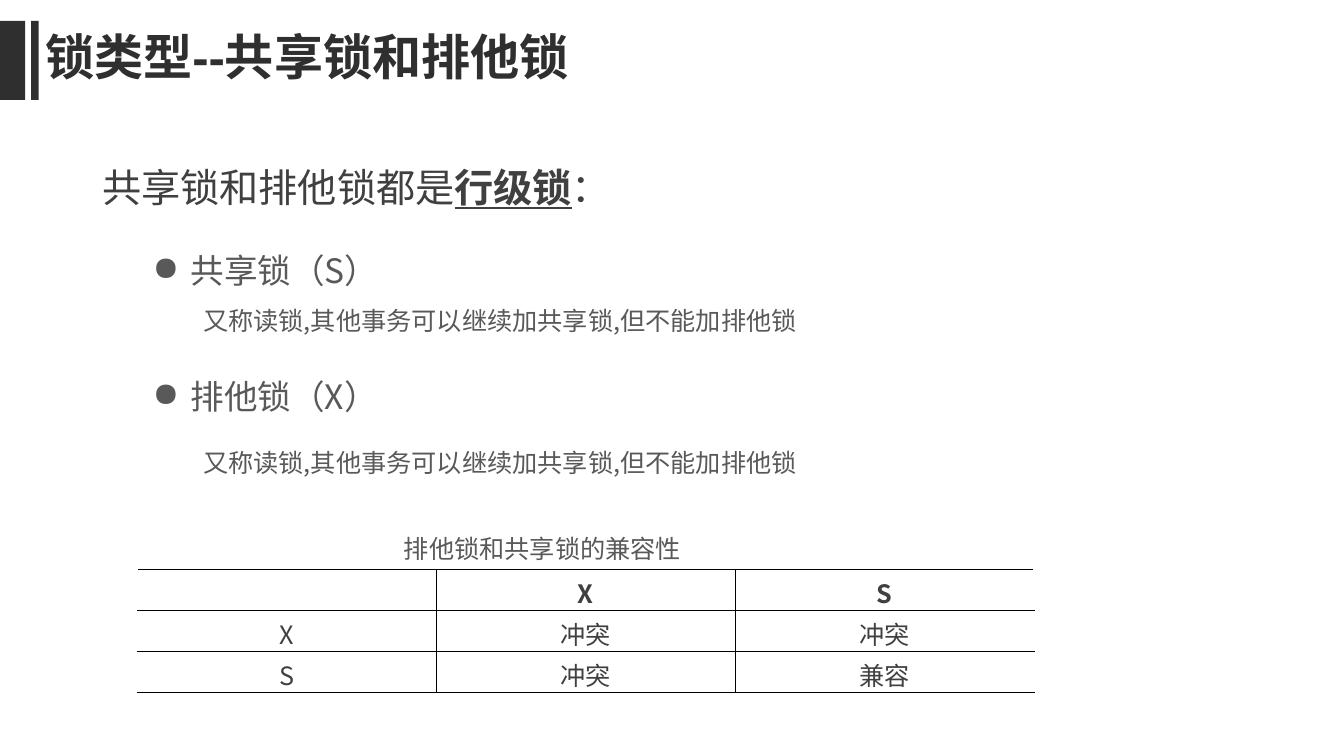
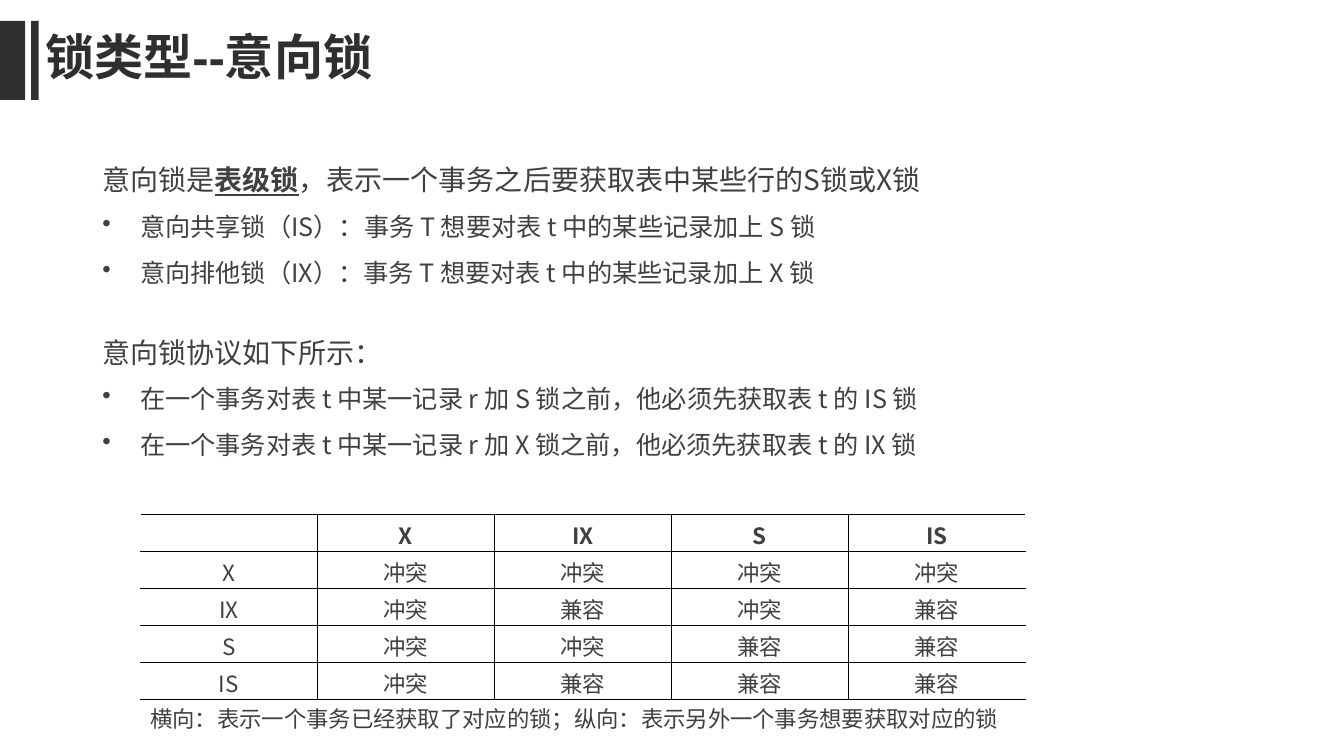
from lxml import etree
from pptx import Presentation
from pptx import util as u
from pptx.dml.color import RGBColor
from pptx.enum import shapes, text
from pptx.oxml import ns

COLUMNS, ROWS = 160, 90
INK, BODY, SOFT, WHITE, BLACK = "2F2F2F", "404040", "595959", "FFFFFF", "000000"
LATIN, CJK = "Arial", "Noto Sans CJK SC"


def rgb(value):
    """Turn a hex string into a colour."""
    return RGBColor.from_string(value)


class Deck:
    """Hold the shared style and the slide being built."""

    def __init__(self):
        """Start a widescreen presentation."""
        self.deck = Presentation()
        self.deck.slide_width, self.deck.slide_height = u.Inches(13.333), u.Inches(7.5)
        self.slide = None

    def x(self, columns):
        """Convert grid columns to a length."""
        return round(self.deck.slide_width * columns / COLUMNS)

    def y(self, rows):
        """Convert grid rows to a length."""
        return round(self.deck.slide_height * rows / ROWS)

    def box(self, left, top, width, height):
        """Convert a grid rectangle to lengths."""
        return self.x(left), self.y(top), self.x(width), self.y(height)

    def page(self, title):
        """Add a slide with its bands and title."""
        self.slide = self.deck.slides.add_slide(self.deck.slide_layouts[6])
        for left, width in ((0, 3), (3.7, 0.9)):
            self.band(left, 2.5, width, 9.4)
        frame = self.frame(4.2, 2.4, 113, 9.4)
        frame.vertical_anchor = text.MSO_ANCHOR.MIDDLE
        self.compose(frame.paragraphs[0], title, 35.1, INK, LATIN, bold=True, spacing=0.9)

    def band(self, *place):
        """Add a plain dark rectangle."""
        band = self.slide.shapes.add_shape(shapes.MSO_SHAPE.RECTANGLE, *self.box(*place))
        band.shadow.inherit = False
        band.fill.solid()
        band.fill.fore_color.rgb = rgb(INK)
        band.line.fill.background()

    def frame(self, *place, wrap=True):
        """Add a text box and return its frame."""
        frame = self.slide.shapes.add_textbox(*self.box(*place)).text_frame
        frame.word_wrap = wrap
        return frame

    def compose(self, paragraph, words, size, color=BODY, face=CJK, bold=False,
                spacing=None, level=0, indent=None, bullet=None):
        """Fill a paragraph; words between asterisks are bold and underlined."""
        paragraph.level = level
        if spacing:
            paragraph.line_spacing = spacing
        font = paragraph.font
        font.size, font.bold = u.Pt(size), bold
        font.color.rgb = rgb(color)
        font.name = face
        properties = paragraph._p.get_or_add_pPr()
        defaults = properties.find(ns.qn("a:defRPr"))
        etree.SubElement(defaults, ns.qn("a:ea"), typeface=CJK)
        if indent:
            left, first = indent
            properties.set("marL", str(self.x(left)))
            properties.set("indent", str(self.x(first)))
        if bullet:
            mark = etree.Element(ns.qn("a:buChar"), char=bullet)
            defaults.addprevious(mark)
        for place, part in enumerate(words.split("*")):
            if part:
                run = paragraph.add_run()
                run.text = part
                if place % 2:
                    run.font.bold = run.font.underline = True

    def body(self, place, lines):
        """Add a text box of styled paragraphs."""
        frame = self.frame(*place)
        for number, (words, style) in enumerate(lines):
            paragraph = frame.add_paragraph() if number else frame.paragraphs[0]
            self.compose(paragraph, words, **style)

    def caption(self, place, words, **style):
        """Add a single unwrapped line."""
        self.compose(self.frame(*place, wrap=False).paragraphs[0], words, **style)

    def border(self, cell, side, color, points):
        """Draw one border of a table cell."""
        properties = cell._tc.get_or_add_tcPr()
        line = etree.Element(ns.qn("a:ln" + side), w=str(u.Pt(points)))
        fill = etree.SubElement(line, ns.qn("a:solidFill"))
        etree.SubElement(fill, ns.qn("a:srgbClr"), val=color)
        properties.insert("LRTB".index(side), line)

    def matrix(self, left, top, width, row_height, size, locks, results):
        """Add a lock compatibility table that is open at both sides."""
        count = len(locks) + 1
        place = self.box(left, top, width, row_height * count)
        table = self.slide.shapes.add_table(count, count, *place).table
        content = [["", *locks]] + [[lock, *line] for lock, line in zip(locks, results)]
        for row, line in enumerate(content):
            table.rows[row].height = self.y(row_height)
            for column, words in enumerate(line):
                cell = table.cell(row, column)
                cell.fill.solid()
                cell.fill.fore_color.rgb = rgb(WHITE)
                outer = {"L": column == 0, "R": column == count - 1}
                for side in "LRTB":
                    self.border(cell, side, *((WHITE, 1) if outer.get(side) else (BLACK, 0.75)))
                paragraph = cell.text_frame.paragraphs[0]
                paragraph.alignment = text.PP_ALIGN.CENTER
                self.compose(paragraph, words, size, bold=row == 0)


def main():
    """Build and save the two slides."""
    deck = Deck()
    clash, fits = "冲突", "兼容"

    lock = dict(size=24, color=SOFT, spacing=2.0, level=1, indent=(10.5, -4.5), bullet="●")
    detail = dict(size=18, color=SOFT, level=2, indent=(12, 0))
    meaning = "又称读锁,其他事务可以继续加共享锁,但不能加排他锁"
    deck.page("锁类型--共享锁和排他锁")
    deck.body((11, 18.8, 130.7, 39), [
        ("共享锁和排他锁都是*行级锁*：", dict(size=28)),
        ("共享锁（S）", lock),
        (meaning, dict(detail, spacing=1.5)),
        ("排他锁（X）", lock),
        (meaning, dict(detail, spacing=2.0)),
    ])
    deck.matrix(16.4, 67.8, 106.7, 4.88, 18, ["X", "S"], [[clash, clash], [clash, fits]])
    deck.caption((46.9, 62.9, 35.8, 4.8), "排他锁和共享锁的兼容性", size=18, color=SOFT, face=LATIN)

    point = dict(size=18, spacing=1.5, indent=(4.5, -4.5), bullet="•")
    deck.page("锁类型--意向锁")
    deck.body((11, 18.8, 130.7, 16.2), [
        ("意向锁是*表级锁*，表示一个事务之后要获取表中某些行的S锁或X锁", dict(size=20)),
        ("意向共享锁（IS）：事务 T 想要对表 t 中的某些记录加上 S 锁", point),
        ("意向排他锁（IX）：事务 T 想要对表 t 中的某些记录加上 X 锁", point),
    ])
    deck.matrix(16.7, 61.2, 105.4, 4.4, 16, ["X", "IX", "S", "IS"], [
        [clash, clash, clash, clash],
        [clash, fits, clash, fits],
        [clash, clash, fits, fits],
        [clash, fits, fits, fits],
    ])
    deck.caption((16.7, 83.3, 104.8, 4.4),
                 "横向：表示一个事务已经获取了对应的锁；纵向：表示另外一个事务想要获取对应的锁", size=16)
    deck.body((11, 37.3, 128.5, 18.1), [
        ("意向锁协议如下所示：", dict(size=20, spacing=1.5)),
        ("在一个事务对表 t 中某一记录 r 加 S 锁之前，他必须先获取表 t 的 IS 锁", point),
        ("在一个事务对表 t 中某一记录 r 加 X 锁之前，他必须先获取表 t 的 IX 锁", point),
    ])
    deck.deck.save("out.pptx")


if __name__ == "__main__":
    main()
